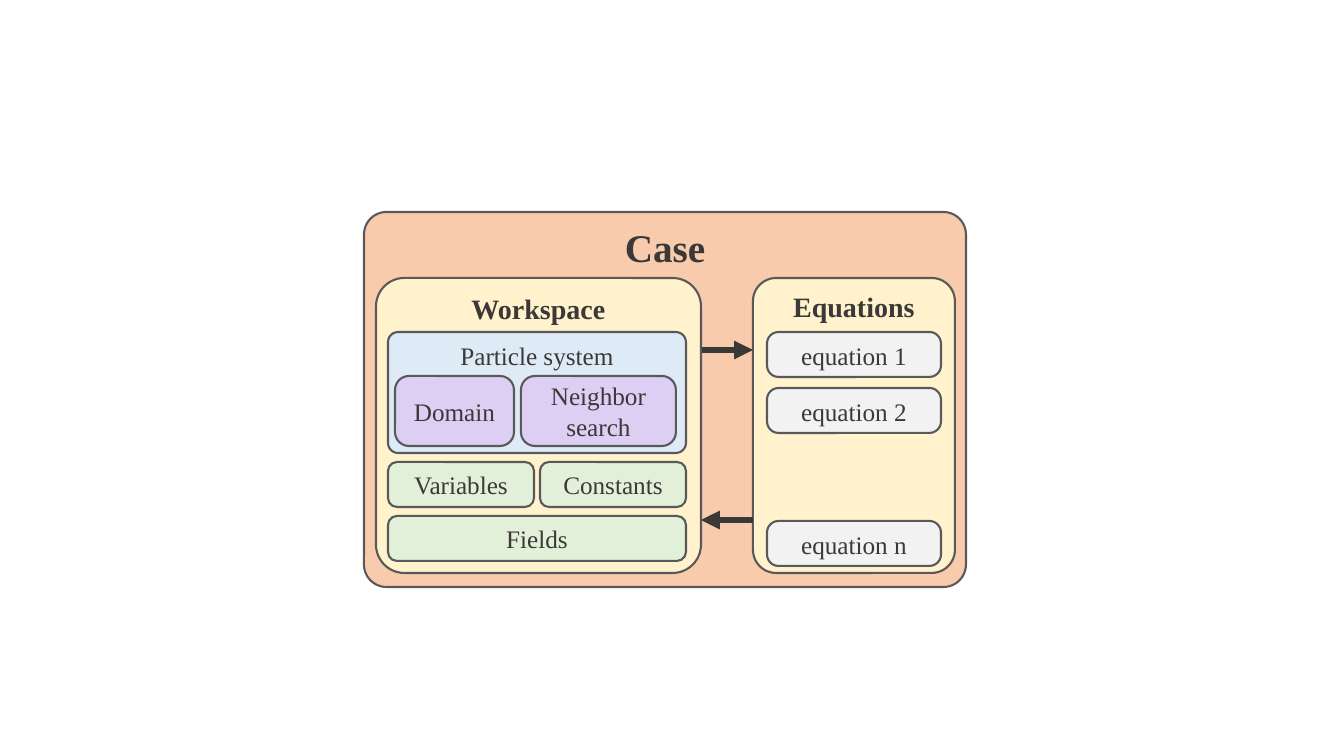
import pptx
import pptx.util
import pptx.dml.color
import pptx.enum.shapes
import pptx.enum.text
import pptx.oxml
import pptx.oxml.ns

# Content
CASE, EQUATIONS, WORKSPACE = "Case", "Equations", "Workspace"
PARTICLES = "Particle system"
PARTICLE_PARTS = [("Domain", 395, 119), ("Neighbor search", 521, 155)]
DATA_PAIR = ["Variables", "Constants"]
FIELDS = "Fields"
EQUATION_ROWS = [("equation 1", 332), ("equation 2", 388), ("equation n", 521)]

# Style
FONT = "Times New Roman"
COLORS = {
    "case": "F8CBAD", "panel": "FFF2CC", "particles": "DEEBF7",
    "part": "DDCFF4", "data": "E2F0D9", "equation": "F2F2F2",
    "outline": "595959", "ink": "3B3838",
}
TOP = pptx.enum.text.MSO_ANCHOR.TOP
MIDDLE = pptx.enum.text.MSO_ANCHOR.MIDDLE

# Layout, in px
PAGE_SIZE = (1344, 756)
PANEL_TOP, PANEL_HEIGHT = 278, 295
WORKSPACE_LEFT, WORKSPACE_WIDTH = 376, 325
EQUATIONS_LEFT, EQUATIONS_WIDTH = 753, 202
INNER_LEFT, INNER_WIDTH = 388, 298
ROW_HEIGHT, PAIR_GAP = 45, 6
TO_EQUATIONS_Y, TO_WORKSPACE_Y = 350, 520


def px(value):
    return pptx.util.Emu(round(value * 914400 / 100.8))


def color(name):
    return pptx.dml.color.RGBColor.from_string(COLORS[name])


def add_box(page, text, area, fill, corner, size=18, bold=False, anchor=MIDDLE):
    box = page.shapes.add_shape(
        pptx.enum.shapes.MSO_SHAPE.ROUNDED_RECTANGLE, *map(px, area))
    box.adjustments[0] = corner
    box.shadow.inherit = False
    box.fill.solid()
    box.fill.fore_color.rgb = color(fill)
    box.line.color.rgb = color("outline")
    box.line.width = pptx.util.Pt(1.5)
    frame = box.text_frame
    frame.word_wrap = True
    frame.vertical_anchor = anchor
    frame.text = text
    para = frame.paragraphs[0]
    para.alignment = pptx.enum.text.PP_ALIGN.CENTER
    font = para.runs[0].font
    font.name, font.size, font.bold = FONT, pptx.util.Pt(size), bold
    font.color.rgb = color("ink")


def add_arrow(page, start, end, y):
    arrow = page.shapes.add_connector(
        pptx.enum.shapes.MSO_CONNECTOR.STRAIGHT, px(start), px(y), px(end), px(y))
    arrow.line.color.rgb = color("ink")
    arrow.line.width = pptx.util.Pt(4.5)
    tip = pptx.oxml.parse_xml(
        f'<a:tailEnd {pptx.oxml.ns.nsdecls("a")} type="triangle"/>')
    arrow.line._get_or_add_ln().append(tip)
    arrow._element.spPr.append(
        pptx.oxml.parse_xml(f'<a:effectLst {pptx.oxml.ns.nsdecls("a")}/>'))


def main():
    deck = pptx.Presentation()
    deck.slide_width, deck.slide_height = map(px, PAGE_SIZE)
    page = deck.slides.add_slide(deck.slide_layouts[6])

    # Case and equations panel
    add_box(page, CASE, (364, 212, 602, 375), "case", 0.06, 28, True, TOP)
    add_box(page, EQUATIONS,
            (EQUATIONS_LEFT, PANEL_TOP, EQUATIONS_WIDTH, PANEL_HEIGHT),
            "panel", 0.115, 20, True, TOP)

    # Arrows between the panels
    workspace_right = WORKSPACE_LEFT + WORKSPACE_WIDTH
    add_arrow(page, workspace_right, EQUATIONS_LEFT, TO_EQUATIONS_Y)
    add_arrow(page, EQUATIONS_LEFT, workspace_right, TO_WORKSPACE_Y)

    # Workspace panel with its particle system
    add_box(page, WORKSPACE,
            (WORKSPACE_LEFT, PANEL_TOP, WORKSPACE_WIDTH, PANEL_HEIGHT),
            "panel", 0.096, 20, True, TOP)
    add_box(page, PARTICLES, (INNER_LEFT, 332, INNER_WIDTH, 121),
            "particles", 0.084, anchor=TOP)
    for text, left, width in PARTICLE_PARTS:
        add_box(page, text, (left, 376, width, 70), "part", 0.2)

    # Workspace data
    pair_width = (INNER_WIDTH - PAIR_GAP) / 2
    for index, text in enumerate(DATA_PAIR):
        left = INNER_LEFT + index * (pair_width + PAIR_GAP)
        add_box(page, text, (left, 462, pair_width, ROW_HEIGHT), "data", 0.2)
    add_box(page, FIELDS, (INNER_LEFT, 516, INNER_WIDTH, ROW_HEIGHT), "data", 0.2)

    # Equation list
    for text, top in EQUATION_ROWS:
        add_box(page, text, (767, top, 174, ROW_HEIGHT), "equation", 0.257, anchor=TOP)

    deck.save("out.pptx")


if __name__ == "__main__":
    main()
